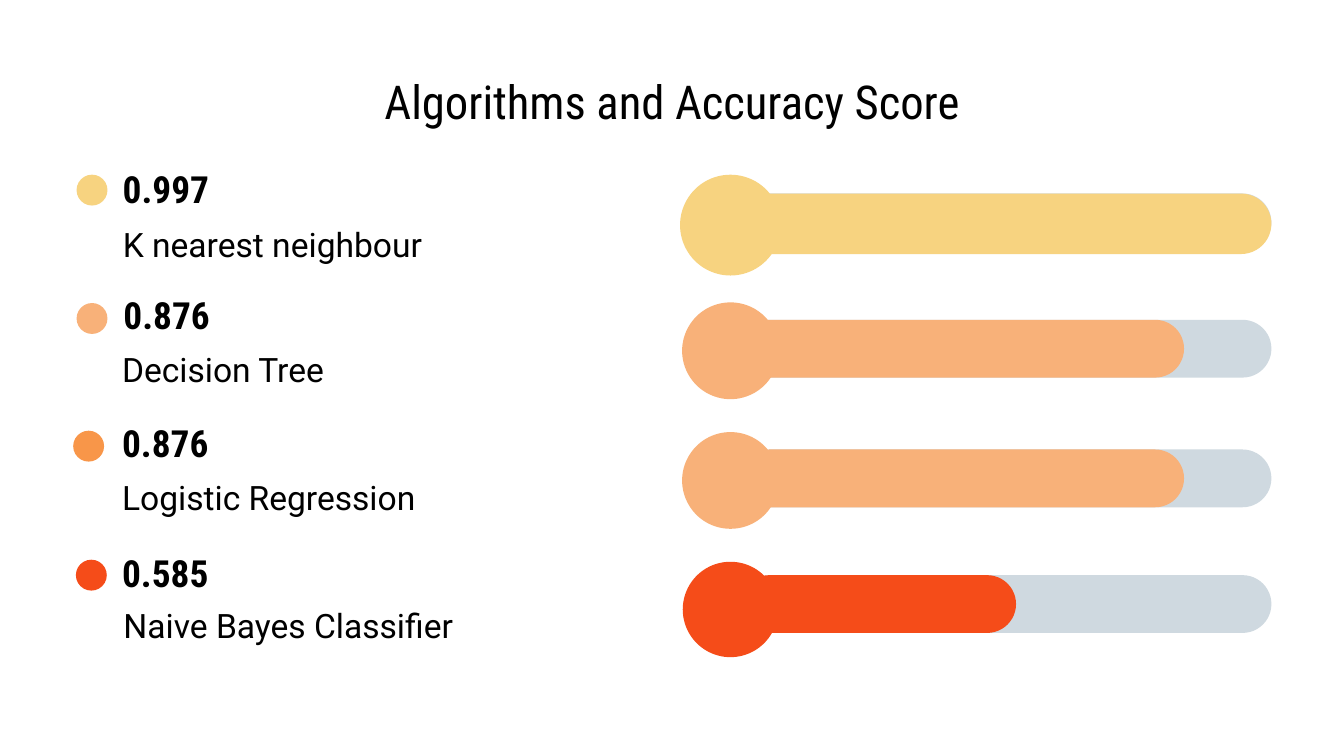
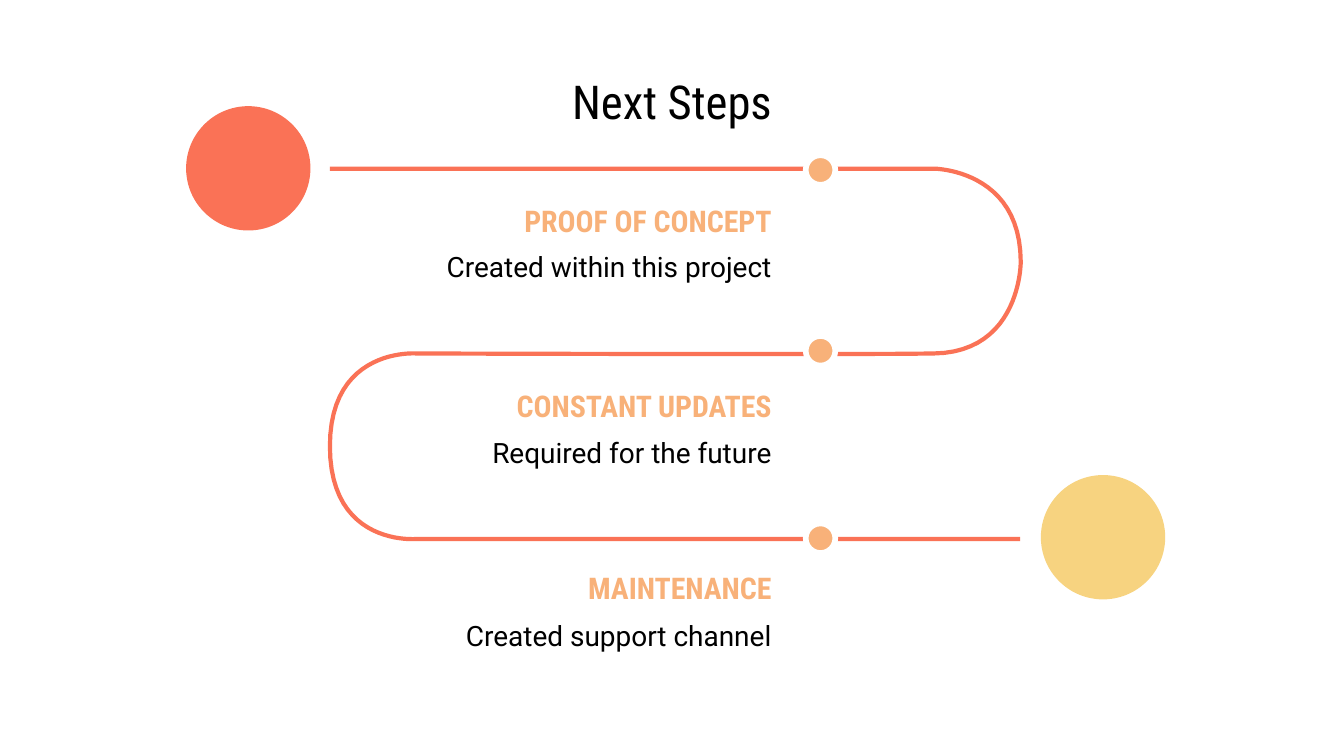
from dataclasses import dataclass

from pptx import Presentation
from pptx.dml.color import RGBColor
from pptx.enum.shapes import MSO_SHAPE
from pptx.enum.text import MSO_ANCHOR, MSO_AUTO_SIZE, PP_ALIGN
from pptx.util import Emu, Pt

EMU_PER_PX = 4572
SLIDE_WIDTH, SLIDE_HEIGHT = 2000, 1125
INSET = 20
TITLE_ONLY = 5

BLACK = RGBColor(0x00, 0x00, 0x00)
WHITE = RGBColor(0xFF, 0xFF, 0xFF)
TRACK_GREY = RGBColor(0xCF, 0xD9, 0xE0)
YELLOW = RGBColor(0xF7, 0xD3, 0x80)
PEACH = RGBColor(0xF8, 0xB1, 0x79)
ORANGE = RGBColor(0xF8, 0x96, 0x49)
RED = RGBColor(0xF5, 0x4C, 0x19)
CORAL = RGBColor(0xFA, 0x72, 0x56)

HEADING_FONT = "Roboto Condensed"
BODY_FONT = "Roboto"

BAR_LEFT, TRACK_LENGTH, TRACK_HEIGHT = 1102, 790, 86
BULLET_SIZE, NODE_SIZE, END_SIZE = 46, 44, 185
NODE_LEFT, STEP_RIGHT = 1199, 1168


@dataclass
class Score:
    """One algorithm with its legend and thermometer bar."""

    value: str
    name: str
    value_at: tuple
    name_at: tuple
    bullet_at: tuple
    bullet_color: RGBColor
    bar_top: int
    bar_length: int
    bar_height: int
    bulb_at: tuple
    bulb_size: int
    color: RGBColor


@dataclass
class Step:
    """One stop on the road with its heading and note."""

    heading: str
    note: str
    heading_top: int
    note_top: int
    node_top: int


SCORES = [
    Score("0.997", "K nearest neighbour", (163, 227), (163, 314), (114, 260), YELLOW,
          288, 790, 90, (1012, 260), 150, YELLOW),
    Score("0.876", "Decision Tree", (164, 415), (162, 500), (114, 451), PEACH,
          476, 660, 86, (1015, 450), 144, PEACH),
    Score("0.876", "Logistic Regression", (162, 605), (162, 690), (109, 641), ORANGE,
          669, 660, 86, (1015, 643), 144, PEACH),
    Score("0.585", "Naive Bayes Classifier", (162, 798), (164, 880), (113, 833), RED,
          856, 410, 86, (1016, 836), 142, RED),
]

STEPS = [
    Step("PROOF OF CONCEPT", "Created within this project", 282, 352, 231),
    Step("CONSTANT UPDATES", "Required for the future", 557, 628, 500),
    Step("MAINTENANCE", "Created support channel", 828, 900, 779),
]

ROAD_START, ROAD_END = (491, 251), (1518, 802)
ROAD_CURVES = [
    ((1390, 251), (1390, 251), (1519, 252), (1519, 390)),
    ((1519, 390), (1519, 390), (1519, 524), (1390, 526)),
    ((1390, 526), (1276, 528), (620, 526), (620, 526)),
    ((620, 526), (620, 526), (491, 516), (491, 664)),
    ((491, 664), (491, 814), (620, 802), (620, 802)),
]


def px(length):
    """Turn pixels into EMU."""
    return Emu(round(length * EMU_PER_PX))


def box(left, top, width, height):
    """Turn a pixel rectangle into EMU."""
    return [px(length) for length in (left, top, width, height)]


def write_text(shape, text, font_name, size, color, bold=False, align=PP_ALIGN.LEFT):
    """Fill a shape with one formatted paragraph."""
    frame = shape.text_frame
    frame.word_wrap = True
    frame.auto_size = MSO_AUTO_SIZE.NONE
    frame.margin_left = frame.margin_right = px(INSET)
    frame.margin_top = frame.margin_bottom = px(INSET)
    frame.text = text
    paragraph = frame.paragraphs[0]
    paragraph.alignment = align
    font = paragraph.font
    font.name, font.size, font.bold = font_name, Pt(size), bold
    font.color.rgb = color


def add_text(slide, rectangle, *text_style, **options):
    """Add a text box."""
    shape = slide.shapes.add_textbox(*box(*rectangle))
    write_text(shape, *text_style, **options)


def add_titled_slide(presentation, title):
    """Add a slide with the shared title style."""
    slide = presentation.slides.add_slide(presentation.slide_layouts[TITLE_ONLY])
    shape = slide.shapes.title
    shape.left, shape.top, shape.width, shape.height = box(100, 98, 1800, 114)
    write_text(shape, title, HEADING_FONT, 25, BLACK, align=PP_ALIGN.CENTER)
    shape.text_frame.vertical_anchor = MSO_ANCHOR.BOTTOM
    return slide


def add_filled_shape(slide, kind, rectangle, color):
    """Add a flat preset shape without an outline."""
    shape = slide.shapes.add_shape(kind, *box(*rectangle))
    shape.shadow.inherit = False
    shape.fill.solid()
    shape.fill.fore_color.rgb = color
    shape.line.fill.background()
    return shape


def add_circle(slide, position, size, color):
    """Add a filled circle."""
    return add_filled_shape(slide, MSO_SHAPE.OVAL, (*position, size, size), color)


def add_bar(slide, top, length, height, color):
    """Add a horizontal bar with a round right end."""
    left = BAR_LEFT + (length - height) // 2
    upright_top = top + (height - length) // 2
    shape = add_filled_shape(slide, MSO_SHAPE.ROUND_2_SAME_RECTANGLE,
                             (left, upright_top, height, length), color)
    shape.adjustments[0] = shape.adjustments[1] = 0.5
    shape.rotation = 90


def add_score(slide, score):
    """Add the legend and thermometer of one algorithm."""
    add_bar(slide, score.bar_top, TRACK_LENGTH, TRACK_HEIGHT, TRACK_GREY)
    add_bar(slide, score.bar_top, score.bar_length, score.bar_height, score.color)
    add_circle(slide, score.bulb_at, score.bulb_size, score.color)
    add_circle(slide, score.bullet_at, BULLET_SIZE, score.bullet_color)
    add_text(slide, (*score.value_at, 788, 74), score.value,
             HEADING_FONT, 20, BLACK, bold=True)
    add_text(slide, (*score.name_at, 698, 120), score.name, BODY_FONT, 18, BLACK)


def curve_points(start, first, second, end, count=24):
    """Return points along a cubic curve, without its start."""
    points = []
    for index in range(1, count + 1):
        t = index / count
        weights = ((1 - t) ** 3, 3 * t * (1 - t) ** 2, 3 * t ** 2 * (1 - t), t ** 3)
        points.append(tuple(
            sum(weight * value for weight, value in zip(weights, values))
            for values in zip(start, first, second, end)
        ))
    return points


def add_road(slide):
    """Add the winding road line."""
    points = [ROAD_CURVES[0][0]]
    for curve in ROAD_CURVES:
        points += curve_points(*curve)
    points.append(ROAD_END)
    builder = slide.shapes.build_freeform(*map(px, ROAD_START))
    builder.add_line_segments([(px(x), px(y)) for x, y in points], close=False)
    road = builder.convert_to_shape()
    road.shadow.inherit = False
    road.fill.background()
    road.line.color.rgb = CORAL
    road.line.width = Pt(2.25)


def add_step(slide, step):
    """Add the node, heading and note of one step."""
    node = add_circle(slide, (NODE_LEFT, step.node_top), NODE_SIZE, PEACH)
    node.line.color.rgb = WHITE
    node.line.width = Pt(3)
    add_text(slide, (STEP_RIGHT - 444, step.heading_top, 444, 74), step.heading,
             HEADING_FONT, 16, PEACH, bold=True, align=PP_ALIGN.RIGHT)
    add_text(slide, (STEP_RIGHT - 630, step.note_top, 630, 120), step.note,
             BODY_FONT, 15, BLACK, align=PP_ALIGN.RIGHT)


def build_scores_slide(presentation):
    """Build the accuracy comparison."""
    slide = add_titled_slide(presentation, "Algorithms and Accuracy Score")
    for score in SCORES:
        add_score(slide, score)


def build_steps_slide(presentation):
    """Build the road of next steps."""
    slide = add_titled_slide(presentation, "Next Steps")
    add_road(slide)
    for step in STEPS:
        add_step(slide, step)
    add_circle(slide, (277, 158), END_SIZE, CORAL)
    add_circle(slide, (1549, 707), END_SIZE, YELLOW)


def main():
    """Build and save the presentation."""
    presentation = Presentation()
    presentation.slide_width = px(SLIDE_WIDTH)
    presentation.slide_height = px(SLIDE_HEIGHT)
    build_scores_slide(presentation)
    build_steps_slide(presentation)
    presentation.save("out.pptx")


if __name__ == "__main__":
    main()
